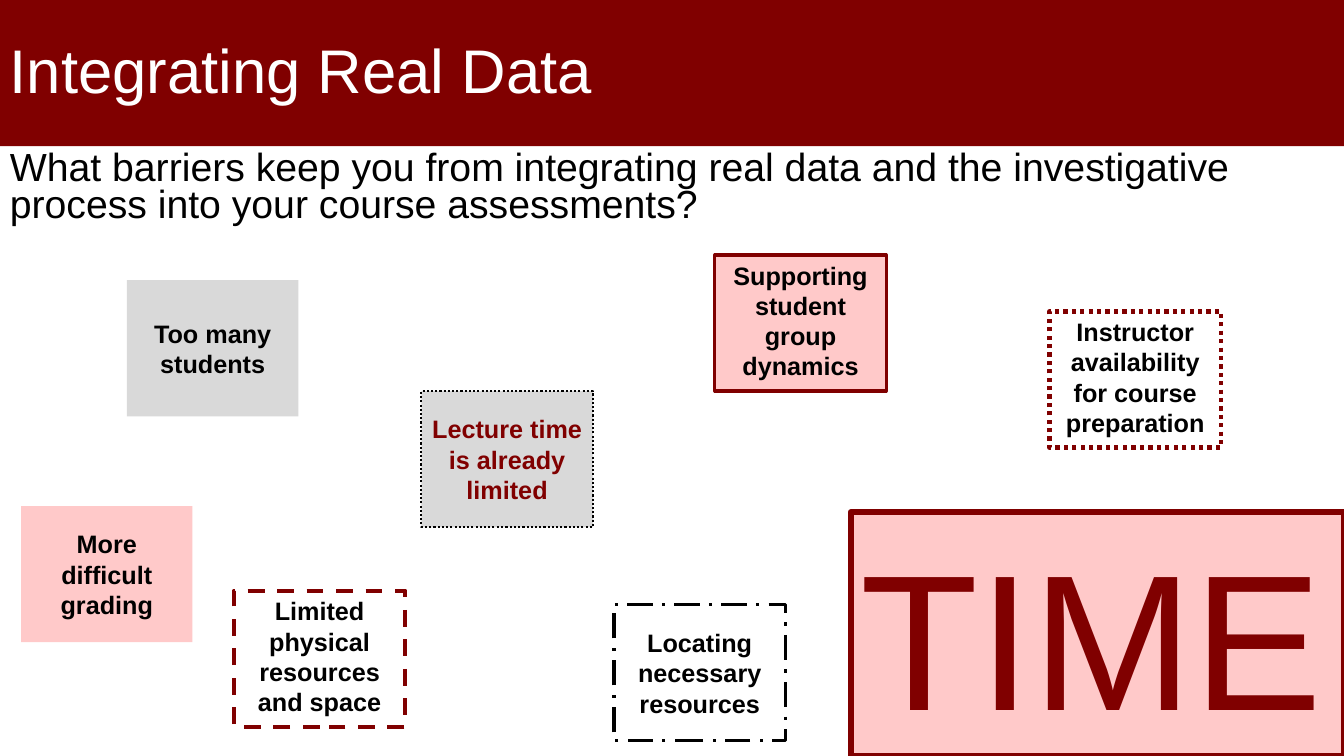
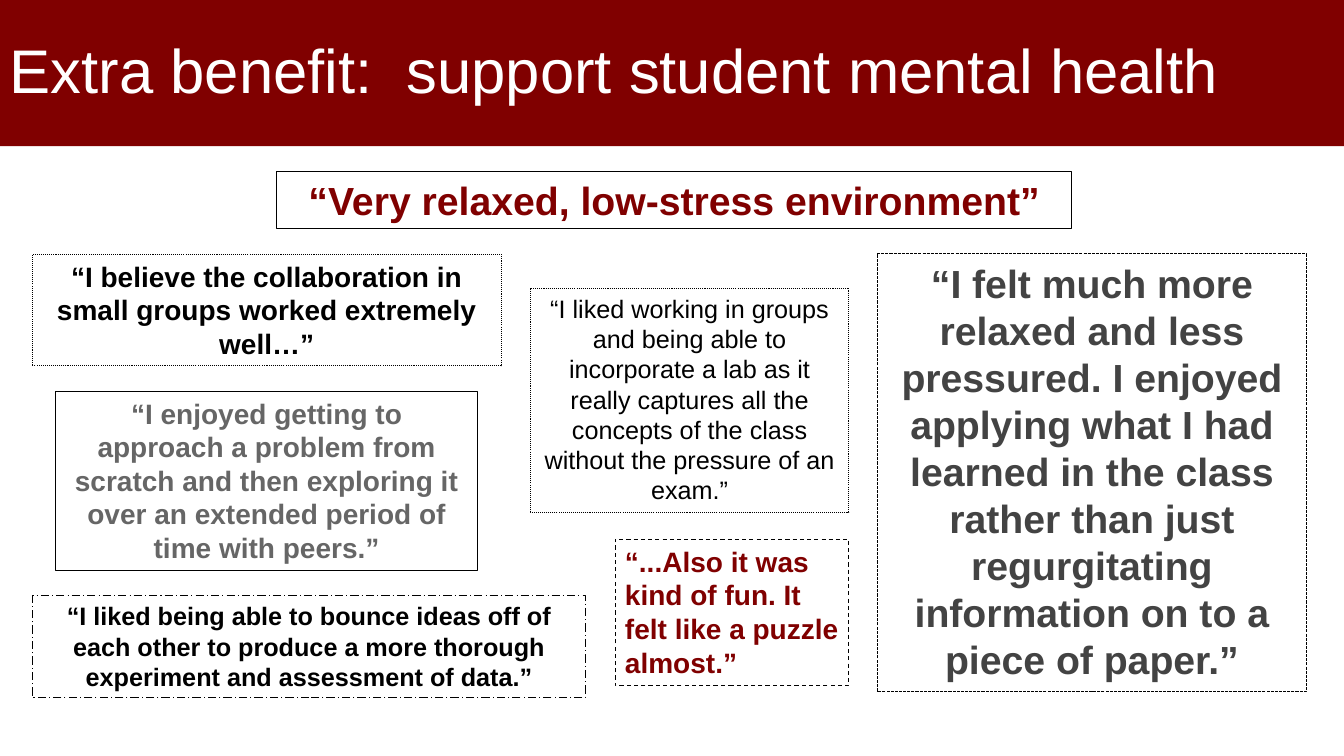
from dataclasses import dataclass

from pptx import Presentation
from pptx.dml.color import RGBColor
from pptx.enum.dml import MSO_LINE_DASH_STYLE as Dash
from pptx.enum.shapes import MSO_SHAPE as Shape
from pptx.enum.text import MSO_ANCHOR as Anchor, PP_ALIGN as Align
from pptx.util import Inches, Pt


@dataclass(frozen=True)
class Theme:
    font: str = "Arial"
    maroon: str = "800000"
    pink: str = "FFC9C9"
    silver: str = "D9D9D9"
    black: str = "000000"
    white: str = "FFFFFF"
    gray: str = "666666"
    charcoal: str = "434343"
    title_size: int = 44
    lead_size: int = 28
    quote_size: int = 20
    small_size: int = 18
    giant_size: int = 138


THEME = Theme()
SLIDE_WIDTH, SLIDE_HEIGHT = 13.33, 7.5
BAND_HEIGHT = 1.45
CARD_WIDTH, CARD_HEIGHT = 1.7, 1.35


def color(value):
    return RGBColor.from_string(value)


def write_text(shape, text, size, text_color=THEME.black, bold=False,
               align=Align.LEFT, anchor=Anchor.TOP, line_spacing=None):
    frame = shape.text_frame
    frame.word_wrap = True
    frame.vertical_anchor = anchor
    paragraph = frame.paragraphs[0]
    paragraph.alignment = align
    paragraph.line_spacing = line_spacing
    run = paragraph.add_run()
    run.text = text
    run.font.name = THEME.font
    run.font.size = Pt(size)
    run.font.bold = bold
    run.font.color.rgb = color(text_color)


def add_box(slide, box, fill=None, line=None):
    """Add a rectangle; line is (colour, width, dash) or None."""
    shape = slide.shapes.add_shape(Shape.RECTANGLE, *map(Inches, box))
    shape.shadow.inherit = False
    if fill:
        shape.fill.solid()
        shape.fill.fore_color.rgb = color(fill)
    else:
        shape.fill.background()
    if line:
        line_color, width, dash = line
        shape.line.color.rgb = color(line_color)
        shape.line.width = Pt(width)
        shape.line.dash_style = dash
    else:
        shape.line.fill.background()
    return shape


def add_titled_slide(presentation, title):
    slide = presentation.slides.add_slide(presentation.slide_layouts[6])
    band = add_box(slide, (0, 0, SLIDE_WIDTH, BAND_HEIGHT), THEME.maroon)
    write_text(band, title, THEME.title_size, THEME.white,
               anchor=Anchor.MIDDLE, line_spacing=0.9)
    return slide


def add_barrier(slide, left, top, text, fill=None, line=None,
                text_color=THEME.black, anchor=Anchor.MIDDLE):
    card = add_box(slide, (left, top, CARD_WIDTH, CARD_HEIGHT), fill, line)
    write_text(card, text, THEME.small_size, text_color, True,
               Align.CENTER, anchor)


def add_quote(slide, box, text, size, text_color=THEME.black, dash=None,
              bold=True, align=Align.CENTER):
    quote = add_box(slide, box, line=(THEME.black, 0.75, dash))
    write_text(quote, text, size, text_color, bold, align)


def build_barriers_slide(presentation):
    slide = add_titled_slide(presentation, "Integrating Real Data")
    question = slide.shapes.add_textbox(
        *map(Inches, (0, BAND_HEIGHT, SLIDE_WIDTH, 0.87)))
    write_text(question, "What barriers keep you from integrating real data "
               "and the investigative process into your course assessments?",
               THEME.lead_size, line_spacing=0.8)

    add_barrier(slide, 0.21, 5.02, "More difficult grading", THEME.pink)
    add_barrier(slide, 1.26, 2.78, "Too many students", THEME.silver)
    add_barrier(slide, 7.09, 2.53, "Supporting student group dynamics",
                THEME.pink, (THEME.maroon, 2.25, None), anchor=Anchor.TOP)
    add_barrier(slide, 4.18, 3.88, "Lecture time is already limited",
                THEME.silver, (THEME.black, 1.5, Dash.ROUND_DOT), THEME.maroon)
    add_barrier(slide, 10.41, 3.09,
                "Instructor availability for course preparation",
                line=(THEME.maroon, 3, Dash.ROUND_DOT), anchor=Anchor.TOP)
    add_barrier(slide, 6.09, 6, "Locating necessary resources",
                line=(THEME.black, 2.25, Dash.LONG_DASH_DOT))
    add_barrier(slide, 2.32, 5.86, "Limited physical resources and space",
                line=(THEME.maroon, 3, Dash.DASH), anchor=Anchor.TOP)

    width, height = 4.89, 2.42
    time_box = add_box(
        slide, (SLIDE_WIDTH - width, SLIDE_HEIGHT - height, width, height),
        THEME.pink, (THEME.maroon, 4.5, None))
    write_text(time_box, "TIME", THEME.giant_size, THEME.maroon)


def build_quotes_slide(presentation):
    slide = add_titled_slide(
        presentation, "Extra benefit:  support student mental health")
    add_quote(slide, (2.74, 1.7, 7.89, 0.57),
              "“Very relaxed, low-stress environment”",
              THEME.lead_size, THEME.maroon)
    add_quote(slide, (0.32, 2.52, 4.65, 1.11),
              "“I believe the collaboration in small groups worked "
              "extremely well…”", THEME.quote_size, dash=Dash.ROUND_DOT)
    add_quote(slide, (0.55, 3.88, 4.19, 1.78),
              "“I enjoyed getting to approach a problem from scratch and then "
              "exploring it over an extended period of time with peers.”",
              THEME.quote_size, THEME.gray)
    add_quote(slide, (0.32, 5.91, 5.49, 1.01),
              "“I liked being able to bounce ideas off of each other to "
              "produce a more thorough experiment and assessment of data.”",
              THEME.small_size, dash=Dash.LONG_DASH_DOT)
    add_quote(slide, (5.26, 2.86, 3.16, 2.22),
              "“I liked working in groups and being able to incorporate a lab "
              "as it really captures all the concepts of the class without "
              "the pressure of an exam.”",
              THEME.small_size, dash=Dash.ROUND_DOT, bold=False)
    add_quote(slide, (6.1, 5.35, 2.32, 1.45),
              "“...Also it was kind of fun. It felt like a puzzle almost.”",
              THEME.quote_size, THEME.maroon, Dash.DASH, align=Align.LEFT)
    add_quote(slide, (8.7, 2.52, 4.26, 4.34),
              "“I felt much more relaxed and less pressured. I enjoyed "
              "applying what I had learned in the class rather than just "
              "regurgitating information on to a piece of paper.”",
              THEME.lead_size, THEME.charcoal, Dash.SQUARE_DOT)


def main():
    presentation = Presentation()
    presentation.slide_width = Inches(SLIDE_WIDTH)
    presentation.slide_height = Inches(SLIDE_HEIGHT)
    build_barriers_slide(presentation)
    build_quotes_slide(presentation)
    presentation.save("out.pptx")


if __name__ == "__main__":
    main()
